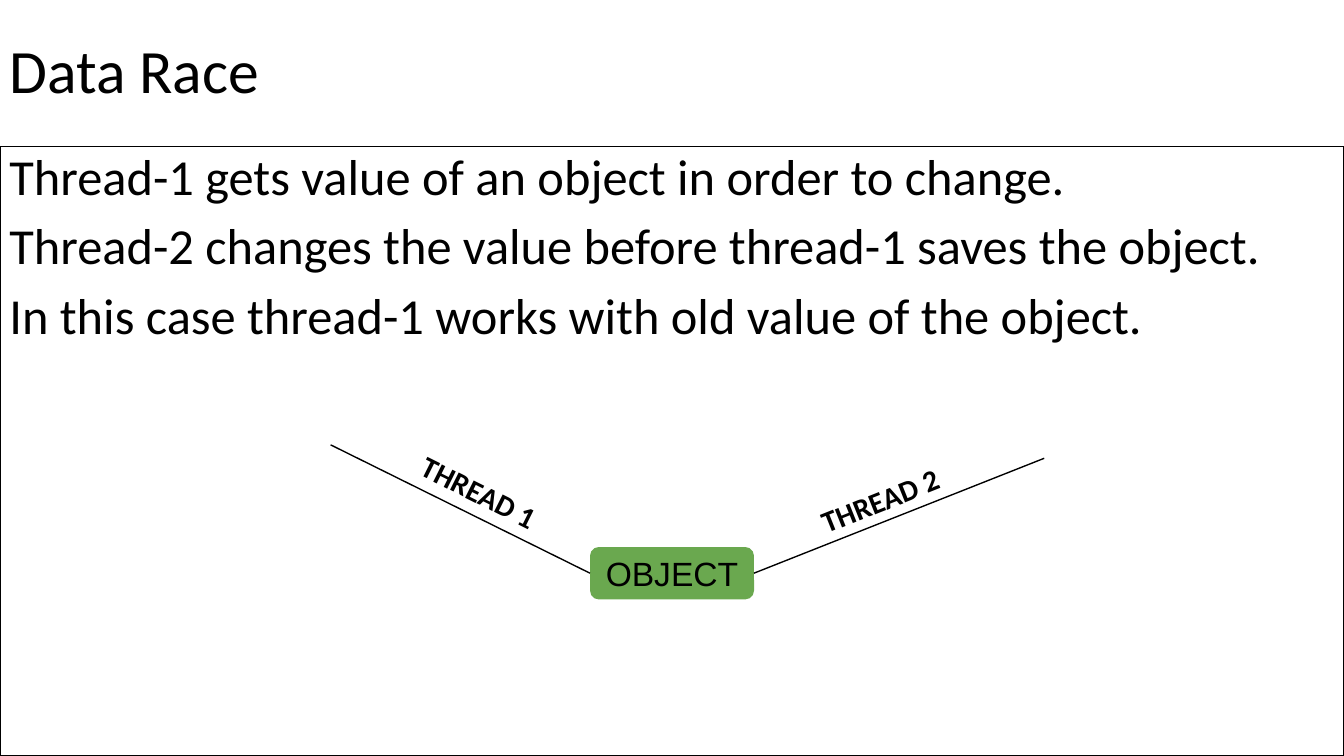
from pptx import Presentation
from pptx.dml.color import RGBColor
from pptx.enum import shapes, text
from pptx.util import Inches, Pt
from lxml import etree

BLACK = RGBColor(0x00, 0x00, 0x00)
GREEN = RGBColor(0x6A, 0xA8, 0x4F)
A_NS = "http://schemas.openxmlformats.org/drawingml/2006/main"
ALIGN = text.PP_ALIGN
ANCHOR = text.MSO_ANCHOR


def write(sp, lines, size, font="Calibri", bold=False, align=ALIGN.CENTER,
          anchor=ANCHOR.MIDDLE, inset=(0.07, 0.04), spacing=None, before=None):
    """Fill a shape with one paragraph per line; inset is (horizontal, vertical)."""
    tf = sp.text_frame
    tf.word_wrap = True
    tf.vertical_anchor = anchor
    tf.margin_left = tf.margin_right = Inches(inset[0])
    tf.margin_top = tf.margin_bottom = Inches(inset[1])
    for i, line in enumerate(lines):
        p = tf.add_paragraph() if i else tf.paragraphs[0]
        p.alignment = align
        p.line_spacing = spacing
        p.space_before = before
        r = p.add_run()
        r.text = line
        r.font.size = Pt(size)
        r.font.name = font
        r.font.bold = bold
        r.font.color.rgb = BLACK


prs = Presentation()
prs.slide_width = Inches(10)
prs.slide_height = Inches(10) * 9 // 16
s = prs.slides.add_slide(prs.slide_layouts[6])

# Title
title = s.shapes.add_textbox(0, 0, Inches(8.62), Inches(1.09))
write(title, ["Data Race"], 33, align=ALIGN.LEFT, spacing=0.9)

# Framed explanation, down to the bottom of the slide
body_top = Inches(1.09)
body = s.shapes.add_shape(shapes.MSO_SHAPE.RECTANGLE, 0, body_top,
                          prs.slide_width, prs.slide_height - body_top)
body.shadow.inherit = False
body.fill.background()
body.line.color.rgb = BLACK
body.line.width = Pt(0.75)
write(body, [
    "Thread-1 gets value of an object in order to change.",
    "Thread-2 changes the value before thread-1 saves the object.",
    "In this case thread-1 works with old value of the object.",
], 27, align=ALIGN.JUSTIFY, anchor=ANCHOR.TOP, spacing=0.9, before=Pt(8))

# Shared object
obj = s.shapes.add_shape(shapes.MSO_SHAPE.ROUNDED_RECTANGLE,
                         Inches(4.39), Inches(4.07), Inches(1.22), Inches(0.39))
obj.shadow.inherit = False
obj.fill.solid()
obj.fill.fore_color.rgb = GREEN
obj.line.fill.background()
write(obj, ["OBJECT"], 18, font="Arial")

# Threads: label, free end of the line, side of the object, label position, angle
threads = [
    ("THREAD 1", (2.46, 3.31), 1, (2.85, 3.5), 26.6),
    ("THREAD 2", (7.77, 3.41), 3, (5.83, 3.56), -21.9),
]
for label, (x, y), side, (left, top), angle in threads:
    line = s.shapes.add_connector(shapes.MSO_CONNECTOR.STRAIGHT,
                                  Inches(x), Inches(y), Inches(5), Inches(4.27))
    line.end_connect(obj, side)
    line.line.color.rgb = BLACK
    line.line.width = Pt(0.75)
    etree.SubElement(line._element.spPr, f"{{{A_NS}}}effectLst")

    tag = s.shapes.add_textbox(Inches(left), Inches(top), Inches(1.43), Inches(0.32))
    tag.rotation = angle
    write(tag, [label], 16, bold=True, inset=(0.1, 0.1))

prs.save("out.pptx")
